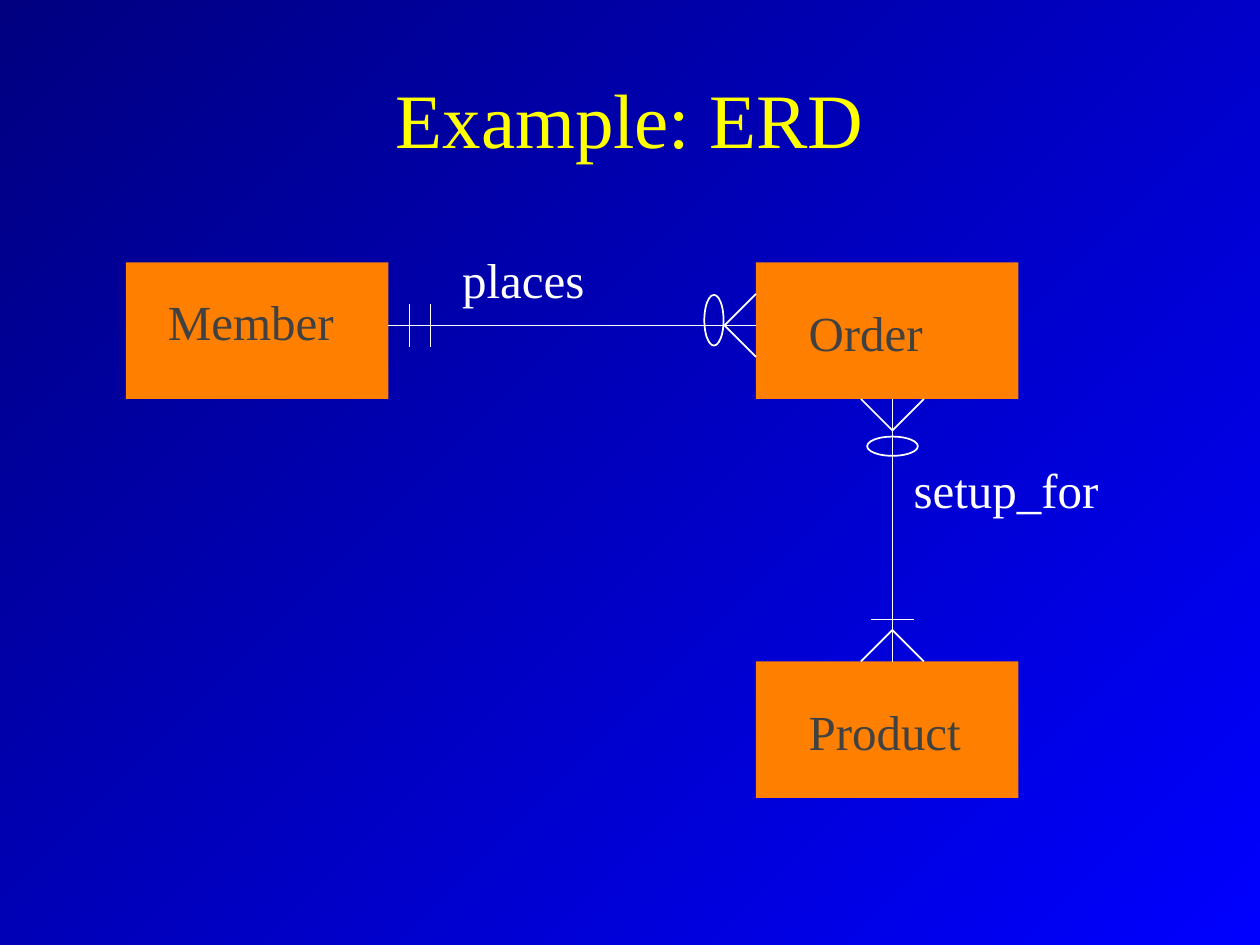
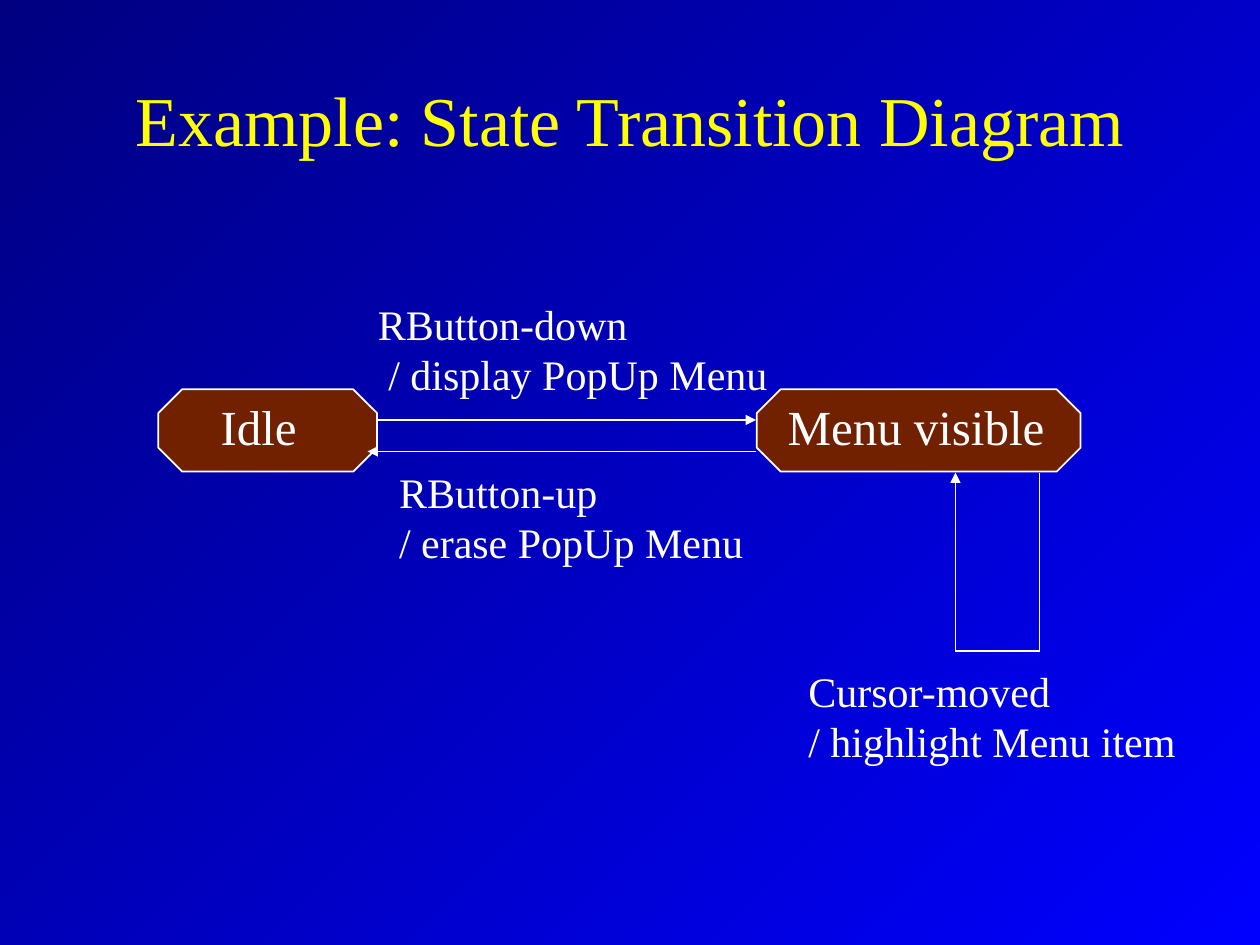
from dataclasses import dataclass

from lxml import etree
from pptx import Presentation
from pptx import util as u
from pptx.dml import color
from pptx.enum import shapes, text
from pptx.oxml import ns


@dataclass(frozen=True)
class Theme:
    font: str = "Times New Roman"
    background_start: str = "0000FF"
    background_end: str = "000080"
    title: str = "FFFF00"
    line: str = "FFFFFF"
    label: str = "FFFFFF"
    entity: str = "FF7F00"
    entity_text: str = "414141"
    state: str = "712000"
    large_title_size: int = 44
    title_size: int = 40
    name_size: int = 28
    event_size: int = 24
    line_width: int = 1


THEME = Theme()


def rgb(value):
    return color.RGBColor.from_string(value)


def points(*values):
    return [u.Pt(value) for value in values]


def apply_format(target, values):
    for name, value in values.items():
        setattr(target, name, value)


def format_font(paragraph, size, fill):
    apply_format(paragraph.font, {"name": THEME.font, "size": u.Pt(size), "bold": False})
    paragraph.font.color.rgb = rgb(fill)


def format_line(line):
    line.color.rgb = rgb(THEME.line)
    line.width = u.Pt(THEME.line_width)


def set_background(master):
    fill = master.background.fill
    fill.gradient()
    fill.gradient_angle = 135
    colors = (THEME.background_start, THEME.background_end)
    for position, (stop, value) in enumerate(zip(fill.gradient_stops, colors)):
        stop.position = position
        stop.color.rgb = rgb(value)


def add_titled_slide(presentation, title, size):
    slide = presentation.slides.add_slide(presentation.slide_layouts.get_by_name("Title Only"))
    shape = slide.shapes.title
    left, top, width, height = points(54, 22.5, 612, 90)
    apply_format(shape, {"left": left, "top": top, "width": width, "height": height})
    frame = shape.text_frame
    frame.text = title
    apply_format(frame, {"vertical_anchor": text.MSO_ANCHOR.MIDDLE,
                         "auto_size": text.MSO_AUTO_SIZE.NONE, "word_wrap": True})
    paragraph = frame.paragraphs[0]
    paragraph.alignment = text.PP_ALIGN.CENTER
    format_font(paragraph, size, THEME.title)
    return slide


def add_label(slide, box, lines, size=THEME.name_size, fill=THEME.label, indent=0):
    frame = slide.shapes.add_textbox(*points(*box)).text_frame
    frame.text = "\n".join(lines)
    apply_format(frame, {"word_wrap": False, "auto_size": text.MSO_AUTO_SIZE.SHAPE_TO_FIT_TEXT})
    for index, paragraph in enumerate(frame.paragraphs):
        if index and indent:
            paragraph._p.get_or_add_pPr().set("marL", str(u.Pt(indent)))
        format_font(paragraph, size, fill)


def add_line(slide, start, end, arrow=False):
    connector = slide.shapes.add_connector(shapes.MSO_CONNECTOR.STRAIGHT, *points(*start, *end))
    format_line(connector.line)
    if arrow:
        etree.SubElement(connector.line._get_or_add_ln(), ns.qn("a:tailEnd"), type="triangle")
    etree.SubElement(connector._element.spPr, ns.qn("a:effectLst"))


def add_figure(slide, kind, box, fill=None, outlined=True):
    shape = slide.shapes.add_shape(kind, *points(*box))
    shape.shadow.inherit = False
    if fill:
        shape.fill.solid()
        shape.fill.fore_color.rgb = rgb(fill)
    else:
        shape.fill.background()
    if outlined:
        format_line(shape.line)
    else:
        shape.line.fill.background()
    return shape


def add_entity(slide, box, name, label_box):
    left, top, *_ = box
    dx, dy, width, height = label_box
    add_figure(slide, shapes.MSO_SHAPE.RECTANGLE, box, THEME.entity, outlined=False)
    add_label(slide, (left + dx, top + dy, width, height), [name], fill=THEME.entity_text)


def add_bar(slide, edge, direction, distance, half=12):
    (x, y), (dx, dy) = edge, direction
    x, y = x + dx * distance, y + dy * distance
    add_line(slide, (x - dy * half, y - dx * half), (x + dy * half, y + dx * half))


def add_crow_foot(slide, edge, direction, reach=18):
    (x, y), (dx, dy) = edge, direction
    tip = (x + dx * reach, y + dy * reach)
    for side in (-reach, reach):
        add_line(slide, tip, (x + dy * side, y + dx * side))


def add_optional_mark(slide, center, direction, thickness=11, length=29):
    (x, y), (dx, _) = center, direction
    width, height = (thickness, length) if dx else (length, thickness)
    add_figure(slide, shapes.MSO_SHAPE.OVAL, (x - width / 2, y - height / 2, width, height))


def draw_entity_diagram(slide, left, top):
    width, height = 150, 78
    order_left, product_top = left + 360, top + 228
    add_entity(slide, (left, top, width, height), "Member", (16.8, 13, 110, 40))
    add_entity(slide, (order_left, top, width, height), "Order", (23, 19.5, 82, 40))
    add_entity(slide, (order_left, product_top, width, height), "Product", (23, 19.5, 102, 40))

    member_edge, order_edge = (left + width, top + 36), (order_left, top + 36)
    order_base, product_edge = (order_left + 78, top + height), (order_left + 78, product_top)
    leftward, rightward, upward, downward = (-1, 0), (1, 0), (0, -1), (0, 1)
    add_line(slide, member_edge, order_edge)
    add_line(slide, order_base, product_edge)
    for distance in (12, 24):
        add_bar(slide, member_edge, rightward, distance)
    add_bar(slide, product_edge, upward, 24)
    for edge, direction in ((order_edge, leftward), (order_base, downward), (product_edge, upward)):
        add_crow_foot(slide, edge, direction)
    add_optional_mark(slide, (order_left - 24, top + 33), leftward)
    add_optional_mark(slide, (order_left + 78, top + height + 27), downward)

    add_label(slide, (left + 185, top - 11, 87, 40), ["places"])
    add_label(slide, (order_left + 83, top + 109, 123, 40), ["setup_for"])


def add_state(slide, box, name, label_offset, label_width):
    left, top, *_ = box
    octagon = add_figure(slide, shapes.MSO_SHAPE.OCTAGON, box, THEME.state)
    octagon.adjustments[0] = 0.29
    add_label(slide, (left + label_offset, top + 0.5, label_width, 40), [name])


def draw_state_diagram(slide, left, top):
    height = 47
    idle_right, visible_left = left + 125, left + 341.5
    add_state(slide, (left, top, 125, height), "Idle", 28.5, 61)
    add_state(slide, (visible_left + 0.5, top, 185, height), "Menu visible", 10.5, 163)

    down_y, up_y = top + 17.5, top + 35.5
    add_line(slide, (idle_right, down_y), (visible_left, down_y), arrow=True)
    add_line(slide, (visible_left, up_y), (idle_right - 5.5, up_y), arrow=True)

    loop_left, loop_right = visible_left + 114, visible_left + 162
    loop_top, loop_bottom = top + height + 0.5, top + 149.5
    add_line(slide, (loop_right, loop_top), (loop_right, loop_bottom))
    add_line(slide, (loop_right, loop_bottom), (loop_left, loop_bottom))
    add_line(slide, (loop_left, loop_bottom), (loop_left, loop_top), arrow=True)

    events = (
        ((118.3, -55.5, 239, 65), ["RButton-down", "/ display PopUp Menu"], 6),
        ((130.5, 40.5, 213, 65), ["RButton-up", "/ erase PopUp Menu"], 0),
        ((364.3, 154, 228, 65), ["Cursor-moved", "/ highlight Menu item"], 0),
    )
    for (dx, dy, width, label_height), lines, indent in events:
        add_label(slide, (left + dx, top + dy, width, label_height), lines,
                  THEME.event_size, indent=indent)


def main():
    presentation = Presentation()
    presentation.slide_width, presentation.slide_height = points(720, 540)
    set_background(presentation.slide_master)
    entity_slide = add_titled_slide(presentation, "Example: ERD", THEME.large_title_size)
    draw_entity_diagram(entity_slide, 72, 150)
    state_slide = add_titled_slide(presentation, "Example: State Transition Diagram", THEME.title_size)
    draw_state_diagram(state_slide, 90.5, 222.5)
    presentation.save("out.pptx")


if __name__ == "__main__":
    main()
